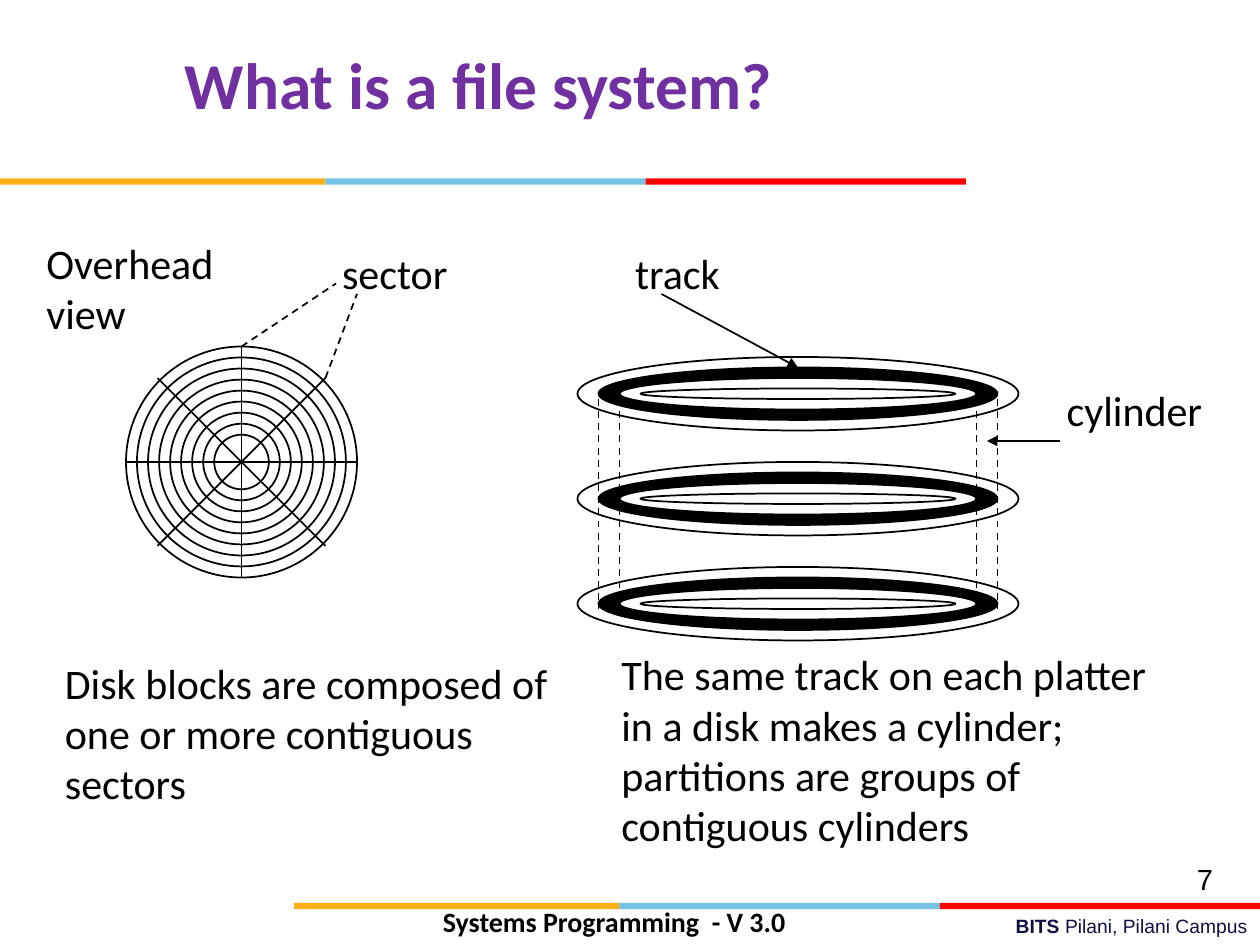
from lxml import etree
from pptx import Presentation
from pptx.dml.color import RGBColor
from pptx.enum.dml import MSO_LINE
from pptx.enum.shapes import MSO_CONNECTOR, MSO_SHAPE
from pptx.enum.text import PP_ALIGN
from pptx.oxml.ns import qn
from pptx.util import Inches, Pt

RECTANGLE, ELLIPSE = MSO_SHAPE.RECTANGLE, MSO_SHAPE.OVAL
STRAIGHT, DASH = MSO_CONNECTOR.STRAIGHT, MSO_LINE.DASH
LEFT, CENTER, RIGHT = PP_ALIGN.LEFT, PP_ALIGN.CENTER, PP_ALIGN.RIGHT

THEME = {
    "ink": RGBColor.from_string("000000"),
    "paper": RGBColor.from_string("FFFFFF"),
    "title": RGBColor.from_string("7030A0"),
    "campus": RGBColor.from_string("101141"),
    "bands": [RGBColor.from_string(c) for c in ("FCB017", "76C2E5", "FF0000")],
    "body_font": "Calibri",
    "footer_font": "Arial",
    "title_size": 37.4,
    "body_size": 24,
    "number_size": 16.6,
    "course_size": 16,
    "campus_size": 11,
    "stroke": Pt(1),
}

COLUMNS, ROWS = 120, 90
prs = Presentation()
prs.slide_width, prs.slide_height = Inches(10), Inches(7.5)
column, row = prs.slide_width / COLUMNS, prs.slide_height / ROWS
slide = prs.slides.add_slide(prs.slide_layouts[6])


def grid(x, y, *more):
    return [round(n * unit) for n, unit in zip((x, y, *more), (column, row) * 2)]


def add_text(box, paragraphs, size, color=THEME["ink"], font=THEME["body_font"],
             align=LEFT, spacing=None):
    frame = slide.shapes.add_textbox(*grid(*box)).text_frame
    frame.word_wrap = True
    for index, runs in enumerate(paragraphs):
        paragraph = frame.paragraphs[0] if index == 0 else frame.add_paragraph()
        paragraph.alignment = align
        paragraph.line_spacing = spacing
        for words, bold in runs:
            run = paragraph.add_run()
            run.text = words
            run.font.name = font
            run.font.size = Pt(size)
            run.font.bold = bold
            run.font.color.rgb = color


figures = []
for band_left, band_top in ((0, 17), (28, 86)):
    for color, width in zip(THEME["bands"], (31, 30.5, 30.5)):
        figures.append((RECTANGLE, (band_left, band_top, width, 0.6), color, None))
        band_left += width

hub_x, hub_y, disk_radius, ring_step = 23, 44, 11, 1.05
for ring in range(9):
    radius = disk_radius - ring * ring_step
    ring_box = (hub_x - radius, hub_y - radius, 2 * radius, 2 * radius)
    figures.append((ELLIPSE, ring_box, None, THEME["ink"]))

platter_left, platter_tops = 55, (34, 44, 54)
platter_fills = (None, THEME["ink"], THEME["paper"], THEME["paper"])
for top in platter_tops:
    for inset, fill in enumerate(platter_fills):
        track_box = (platter_left + 2 * inset, top + inset, 42 - 4 * inset, 7 - 2 * inset)
        figures.append((ELLIPSE, track_box, fill, THEME["ink"]))

for preset, box, fill, outline in figures:
    figure = slide.shapes.add_shape(preset, *grid(*box))
    figure.shadow.inherit = False
    if fill is None:
        figure.fill.background()
    else:
        figure.fill.solid()
        figure.fill.fore_color.rgb = fill
    if outline is None:
        figure.line.fill.background()
    else:
        figure.line.color.rgb = outline
        figure.line.width = THEME["stroke"]

strokes = []
for dx, dy in ((11, 0), (0, 11), (8, 8), (8, -8)):
    strokes.append((hub_x - dx, hub_y - dy, hub_x + dx, hub_y + dy, False, False))
for wall in (57, 59, 93, 95):
    strokes.append((wall, 38, wall, 58, True, False))
strokes += [
    (23, 33, 32, 27, True, False),
    (31, 36, 34, 28, True, False),
    (63, 28, 76, 35, False, True),
    (101, 42, 94, 42, False, True),
]
for x1, y1, x2, y2, dashed, arrow in strokes:
    stroke = slide.shapes.add_connector(STRAIGHT, *grid(x1, y1, x2, y2))
    stroke.line.color.rgb = THEME["ink"]
    stroke.line.width = THEME["stroke"]
    if dashed:
        stroke.line.dash_style = DASH
    if arrow:
        etree.SubElement(stroke.line._get_or_add_ln(), qn("a:tailEnd"), type="triangle")
    etree.SubElement(stroke._element.spPr, qn("a:effectLst"))

add_text((6, 3.6, 79.2, 9.2), [[("What is a file system?", True)]],
         THEME["title_size"], THEME["title"], align=CENTER)

labels = [
    ((3.24, 22, 19.5, 10.8), ("Overhead", "view")),
    ((31.4, 23, 13.5, 6), ("sector",)),
    ((59.3, 23, 11.5, 6), ("track",)),
    ((100.4, 36, 17.5, 6), ("cylinder",)),
]
for box, lines in labels:
    add_text(box, [[(line, False)] for line in lines], THEME["body_size"])

explanations = [
    ((5, 62, 49, 15.6), "Disk blocks are composed of one or more contiguous sectors"),
    ((58, 61.2, 53, 25.2), "The same track on each platter in a disk makes a cylinder; "
                           "partitions are groups of contiguous cylinders"),
]
for box, sentence in explanations:
    add_text(box, [[(sentence, False)]], THEME["body_size"])

add_text((88.7, 81.8, 28, 4.8), [[("7", False)]], THEME["number_size"],
         font=THEME["footer_font"], align=RIGHT, spacing=0.9)
add_text((41, 85.6, 38, 4.8), [[("Systems Programming  - V 3.0", True)]],
         THEME["course_size"])
add_text((43, 86.5, 77, 3.5), [[("BITS ", True), ("Pilani, Pilani Campus", False)]],
         THEME["campus_size"], THEME["campus"], THEME["footer_font"], RIGHT)

prs.save("out.pptx")
